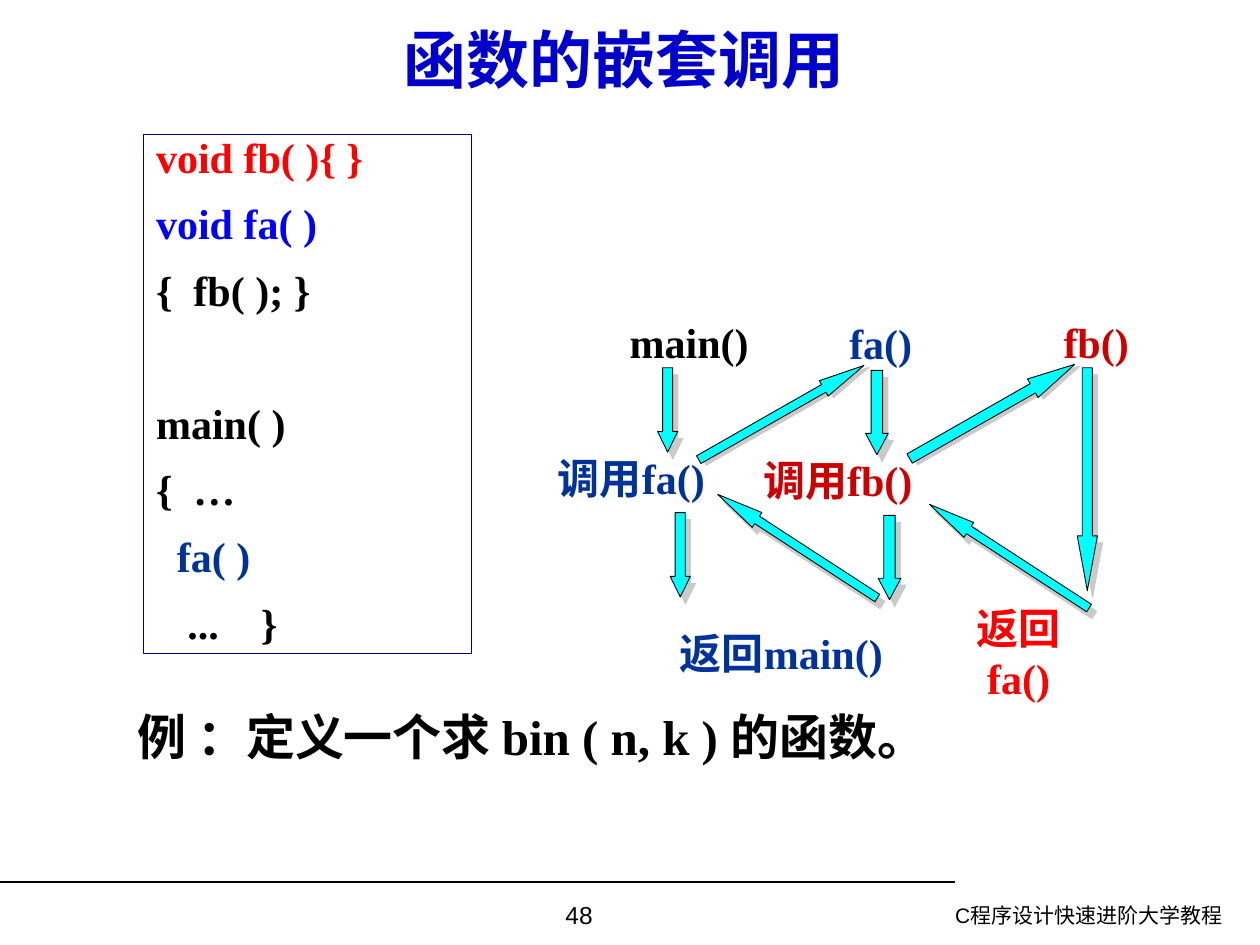
from dataclasses import dataclass
from typing import Any

from lxml import etree
from pptx import Presentation
from pptx import util as u
from pptx.dml import color as c
from pptx.enum import shapes, text
from pptx.oxml import ns

BLACK = c.RGBColor(0x00, 0x00, 0x00)
RED = c.RGBColor(0xFF, 0x00, 0x00)
DARK_RED = c.RGBColor(0xCC, 0x00, 0x00)
BLUE = c.RGBColor(0x00, 0x00, 0xFF)
TITLE_BLUE = c.RGBColor(0x00, 0x00, 0xCC)
CALL_BLUE = c.RGBColor(0x00, 0x33, 0x99)
NAVY = c.RGBColor(0x00, 0x00, 0x80)
CYAN = c.RGBColor(0x00, 0xFF, 0xFF)
SHADOW_GREY = "CACACA"

SERIF, SANS = "Times New Roman", "Arial"
LEFT, CENTER, RIGHT = text.PP_ALIGN.LEFT, text.PP_ALIGN.CENTER, text.PP_ALIGN.RIGHT
MIDDLE, TOP = text.MSO_ANCHOR.MIDDLE, text.MSO_ANCHOR.TOP
FIT, FIXED = text.MSO_AUTO_SIZE.SHAPE_TO_FIT_TEXT, text.MSO_AUTO_SIZE.NONE
SIDE_INSET = 7.2
CODE_GAP = 15
CODE_PITCH = 38
RISE, FALL_BACK = 240.3, 123


@dataclass(frozen=True)
class Label:
    words: str
    left: float
    top: float
    width: float
    height: float = 36
    color: c.RGBColor = BLACK
    size: float = 24
    font: str = SERIF
    bold: bool = True
    align: Any = CENTER
    anchor: Any = MIDDLE
    wrap: bool = False


@dataclass(frozen=True)
class Arrow:
    left: float
    top: float
    width: float
    length: float
    head: float
    turn: float = 0
    shadow_distance: float = 5
    shadow_angle: int = 53


@dataclass(frozen=True)
class CodeLine:
    words: str
    color: c.RGBColor = BLACK
    space_before: float = CODE_GAP


LABELS = [
    Label("函数的嵌套调用", 31, 15.1, 651.6, color=TITLE_BLUE, size=36, font=SANS, wrap=True),
    Label("main()", 352.8, 177.1, 82.1),
    Label("fa()", 478.1, 177.8, 50.4, color=CALL_BLUE),
    Label("fb()", 600.5, 177.1, 51.8, color=DARK_RED),
    Label("调用fa()", 306.1, 254.9, 109.4, color=CALL_BLUE),
    Label("调用fb()", 426.2, 256.3, 105.1, color=DARK_RED),
    Label("返回main()", 374.5, 355, 144, color=CALL_BLUE, wrap=True),
    Label("返回\vfa()", 529.9, 340.6, 104.4, 64.8, color=RED, wrap=True),
    Label("例 ：定义一个求 bin ( n, k ) 的函数。", 71.3, 400.3, 478.1, 41, size=28, align=LEFT),
    Label("C程序设计快速进阶大学教程", 473, 511.9, 232.6, 28.1, size=12, font=SANS,
          bold=False, align=RIGHT, anchor=TOP, wrap=True),
    Label("48", 247, 510.5, 167.8, 29.5, size=14, font=SANS, bold=False, anchor=TOP, wrap=True),
]

ARROWS = [
    Arrow(375.8, 210.2, 11.5, 48.2, 1.02),
    Arrow(494.6, 211.7, 13, 48.2, 0.94),
    Arrow(615.6, 210.2, 11.5, 127.4, 2.72),
    Arrow(441.4, 181.4, 10.1, 108.7, 2.62, RISE, 3.2, 18),
    Arrow(560.9, 180.7, 12.2, 108.7, 2.27, RISE, 3.2, 18),
    Arrow(383, 293, 11.5, 48.2, 1.02),
    Arrow(501.8, 294.5, 13, 48.2, 0.94),
    Arrow(571.7, 263.5, 10.1, 108.7, 2.65, FALL_BACK),
    Arrow(450.7, 257.8, 10.1, 108.7, 2.65, FALL_BACK),
]

CODE = [
    CodeLine("void fb( ){ }", RED, 0),
    CodeLine("void fa( )", BLUE),
    CodeLine("{  fb( ); }"),
    CodeLine("main( )", space_before=CODE_GAP + CODE_PITCH),
    CodeLine("{  …"),
    CodeLine("  fa( )", CALL_BLUE),
    CodeLine("   ...    }"),
]


def apply_format(target: Any, values: dict[str, Any]) -> None:
    for name, value in values.items():
        setattr(target, name, value)


def format_font(font: Any, name: str, size: float, bold: bool, color: c.RGBColor) -> None:
    apply_format(font, {"name": name, "size": u.Pt(size), "bold": bold})
    font.color.rgb = color


def add_label(slide: Any, label: Label) -> None:
    box = slide.shapes.add_textbox(
        u.Pt(label.left), u.Pt(label.top), u.Pt(label.width), u.Pt(label.height))
    inset = u.Pt(0 if label.align == CENTER else SIDE_INSET)
    apply_format(box.text_frame, {
        "word_wrap": label.wrap,
        "auto_size": FIXED if label.wrap else FIT,
        "margin_left": inset,
        "margin_right": inset,
        "vertical_anchor": label.anchor,
        "text": label.words,
    })
    paragraph = box.text_frame.paragraphs[0]
    paragraph.alignment = label.align
    for run in paragraph.runs:
        format_font(run.font, label.font, label.size, label.bold, label.color)


def add_arrow(slide: Any, arrow: Arrow) -> None:
    body = slide.shapes.add_shape(
        shapes.MSO_SHAPE.DOWN_ARROW,
        u.Pt(arrow.left), u.Pt(arrow.top), u.Pt(arrow.width), u.Pt(arrow.length))
    body.adjustments[0] = 0.5
    body.adjustments[1] = arrow.head
    body.rotation = arrow.turn
    body.fill.solid()
    body.fill.fore_color.rgb = CYAN
    body.line.color.rgb = BLACK
    body.line.width = u.Pt(0.5)
    body.shadow.inherit = False
    effects = body._element.spPr.find(ns.qn("a:effectLst"))
    shadow = etree.SubElement(effects, ns.qn("a:outerShdw"), {
        "dist": str(u.Pt(arrow.shadow_distance)),
        "dir": str(arrow.shadow_angle * 60000),
        "algn": "ctr",
        "rotWithShape": "0",
    })
    etree.SubElement(shadow, ns.qn("a:srgbClr"), {"val": SHADOW_GREY})


def add_code(slide: Any, lines: list[CodeLine]) -> None:
    listing = slide.shapes.add_shape(
        shapes.MSO_SHAPE.RECTANGLE, u.Pt(82.1), u.Pt(77), u.Pt(187.2), u.Pt(296.6))
    listing.shadow.inherit = False
    listing.fill.background()
    listing.line.color.rgb = NAVY
    listing.line.width = u.Pt(0.75)
    frame = listing.text_frame
    apply_format(frame, {"word_wrap": True, "vertical_anchor": TOP})
    for index, line in enumerate(lines):
        paragraph = frame.add_paragraph() if index else frame.paragraphs[0]
        apply_format(paragraph, {
            "alignment": LEFT, "line_spacing": 0.8, "space_before": u.Pt(line.space_before)})
        run = paragraph.add_run()
        run.text = line.words
        format_font(run.font, SERIF, 24, True, line.color)


def add_footer_rule(slide: Any) -> None:
    rule = slide.shapes.add_connector(
        shapes.MSO_CONNECTOR.STRAIGHT, u.Pt(0), u.Pt(504), u.Pt(545.8), u.Pt(504))
    rule.line.color.rgb = BLACK
    rule.line.width = u.Pt(0.75)
    etree.SubElement(rule._element.spPr, ns.qn("a:effectLst"))


def main() -> None:
    deck = Presentation()
    apply_format(deck, {"slide_width": u.Pt(720), "slide_height": u.Pt(540)})
    slide = deck.slides.add_slide(deck.slide_layouts[6])
    add_footer_rule(slide)
    add_code(slide, CODE)
    for arrow in ARROWS:
        add_arrow(slide, arrow)
    for label in LABELS:
        add_label(slide, label)
    deck.save("out.pptx")


if __name__ == "__main__":
    main()
